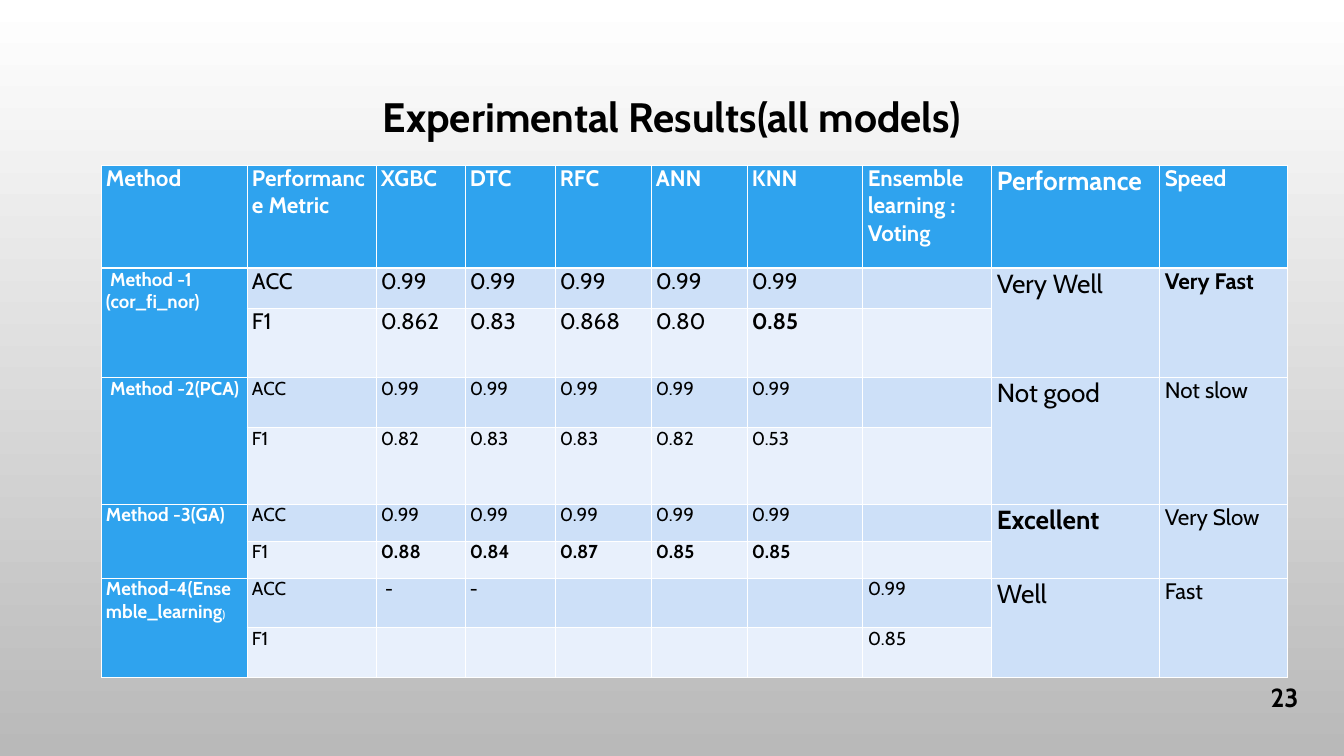
"""Build the slide with the table of experimental results for all models."""
from lxml import etree
from pptx import Presentation
from pptx.dml.color import RGBColor
from pptx.enum.text import MSO_ANCHOR, PP_ALIGN
from pptx.oxml.ns import qn
from pptx.util import Pt

MIDDLE = MSO_ANCHOR.MIDDLE
CENTER, RIGHT = PP_ALIGN.CENTER, PP_ALIGN.RIGHT
SCALE = 18288000 / 1344
THEME = {
    "font": "Cabin",
    "black": RGBColor(0x00, 0x00, 0x00),
    "white": RGBColor(0xFF, 0xFF, 0xFF),
    "gray": RGBColor(0xB9, 0xB9, 0xB9),
    "blue": RGBColor(0x2F, 0xA3, 0xEE),
    "band_dark": RGBColor(0xCD, 0xE0, 0xF8),
    "band_light": RGBColor(0xE8, 0xF0, 0xFC),
    "title": 44, "large": 28, "medium": 24, "small": 20, "tiny": 11,
    "border": 1, "header_border": 3,
}


def px(length):
    return round(length * SCALE)


def add_text(paragraph, text, size, color, bold):
    run = paragraph.add_run()
    run.text = text
    values = {"name": THEME["font"], "size": Pt(THEME[size]), "bold": bold}
    for name, value in values.items():
        setattr(run.font, name, value)
    run.font.color.rgb = THEME[color]


presentation = Presentation()
presentation.slide_width = px(1344)
presentation.slide_height = px(756)
slide = presentation.slides.add_slide(presentation.slide_layouts[6])

background = slide.background.fill
background.gradient()
background.gradient_angle = 270
for stop, color in zip(background.gradient_stops, ("white", "gray")):
    stop.color.rgb = THEME[color]

labels = [
    ("Experimental Results(all models)", (101, 68, 1142, 103), "title", CENTER, 0.9),
    ("23", (1221, 677, 84, 40), "large", RIGHT, 1.0),
]
for text, bounds, size, alignment, spacing in labels:
    shape = slide.shapes.add_textbox(*map(px, bounds))
    shape.text_frame.word_wrap = True
    shape.text_frame.vertical_anchor = MIDDLE
    paragraph = shape.text_frame.paragraphs[0]
    for name, value in {"alignment": alignment, "line_spacing": spacing}.items():
        setattr(paragraph, name, value)
    add_text(paragraph, text, size, "black", True)

rows = [
    ["Method", "Performance Metric", "XGBC", "DTC", "RFC", "ANN", "KNN",
     "Ensemble learning : Voting", "Performance", "Speed"],
    [" Method -1 (cor_fi_nor)", "ACC", *["0.99"] * 5, "", "Very Well", "Very Fast"],
    ["", "F1", "0.862", "0.83", "0.868", "0.80", "0.85", "", "", ""],
    [" Method -2(PCA) ", "ACC", *["0.99"] * 5, "", "Not good", "Not slow"],
    ["", "F1", "0.82", "0.83", "0.83", "0.82", "0.53", "", "", ""],
    ["Method -3(GA)", "ACC", *["0.99"] * 5, "", "Excellent", "Very Slow"],
    ["", "F1", "0.88", "0.84", "0.87", "0.85", "0.85", "", "", ""],
    ["Method-4(Ensemble_learning", "ACC", " -", "- ", "", "", "", "0.99", "Well", "Fast"],
    ["", "F1", "", "", "", "", "", "0.85", "", ""],
]
column_widths = [146, 129, 89, 90, 96, 96, 116, 129, 168, 128]
row_heights = [103, 40, 69, 50, 77, 37, 37, 50, 50]
bold_cells = {(1, 9), (2, 6), (5, 8), *((6, column) for column in range(2, 7))}
merged_columns = (0, 8, 9)
column_sizes = {0: "small", 8: "large", 9: "medium"}

table_bounds = (101, 165, sum(column_widths), sum(row_heights))
table = slide.shapes.add_table(len(rows), len(column_widths), *map(px, table_bounds)).table
table.horz_banding = False
for column, width in zip(table.columns, column_widths):
    column.width = px(width)
for row, height in zip(table.rows, row_heights):
    row.height = px(height)

cell_format = {"margin_left": px(5), "margin_right": px(5), "margin_top": 0, "margin_bottom": 0}
for row_index, texts in enumerate(rows):
    is_header = row_index == 0
    band = "band_dark" if row_index % 2 else "band_light"
    for column_index, text in enumerate(texts):
        cell = table.cell(row_index, column_index)
        for name, value in cell_format.items():
            setattr(cell, name, value)

        for side in ("L", "R", "T", "B"):
            is_thick = (row_index, side) in ((0, "B"), (1, "T"))
            weight = THEME["header_border" if is_thick else "border"]
            line = etree.SubElement(cell._tc.get_or_add_tcPr(), qn(f"a:ln{side}"), w=str(Pt(weight)))
            line_fill = etree.SubElement(line, qn("a:solidFill"))
            etree.SubElement(line_fill, qn("a:srgbClr"), val=str(THEME["white"]))

        is_blue = is_header or column_index == 0
        is_merged = column_index in merged_columns
        fill = "blue" if is_blue else "band_dark" if is_merged else band
        cell.fill.solid()
        cell.fill.fore_color.rgb = THEME[fill]

        size = column_sizes.get(column_index, "medium" if row_index < 3 else "small")
        if is_header and column_index == 0:
            size = "medium"
        paragraph = cell.text_frame.paragraphs[0]
        if text:
            is_bold = is_blue or (row_index, column_index) in bold_cells
            add_text(paragraph, text, size, "white" if is_blue else "black", is_bold)
        else:
            paragraph.font.size = Pt(THEME["tiny"])

add_text(table.cell(7, 0).text_frame.paragraphs[0], ")", "tiny", "white", True)

for row_index in range(1, len(rows), 2):
    for column_index in merged_columns:
        table.cell(row_index, column_index).merge(table.cell(row_index + 1, column_index))

presentation.save("out.pptx")
